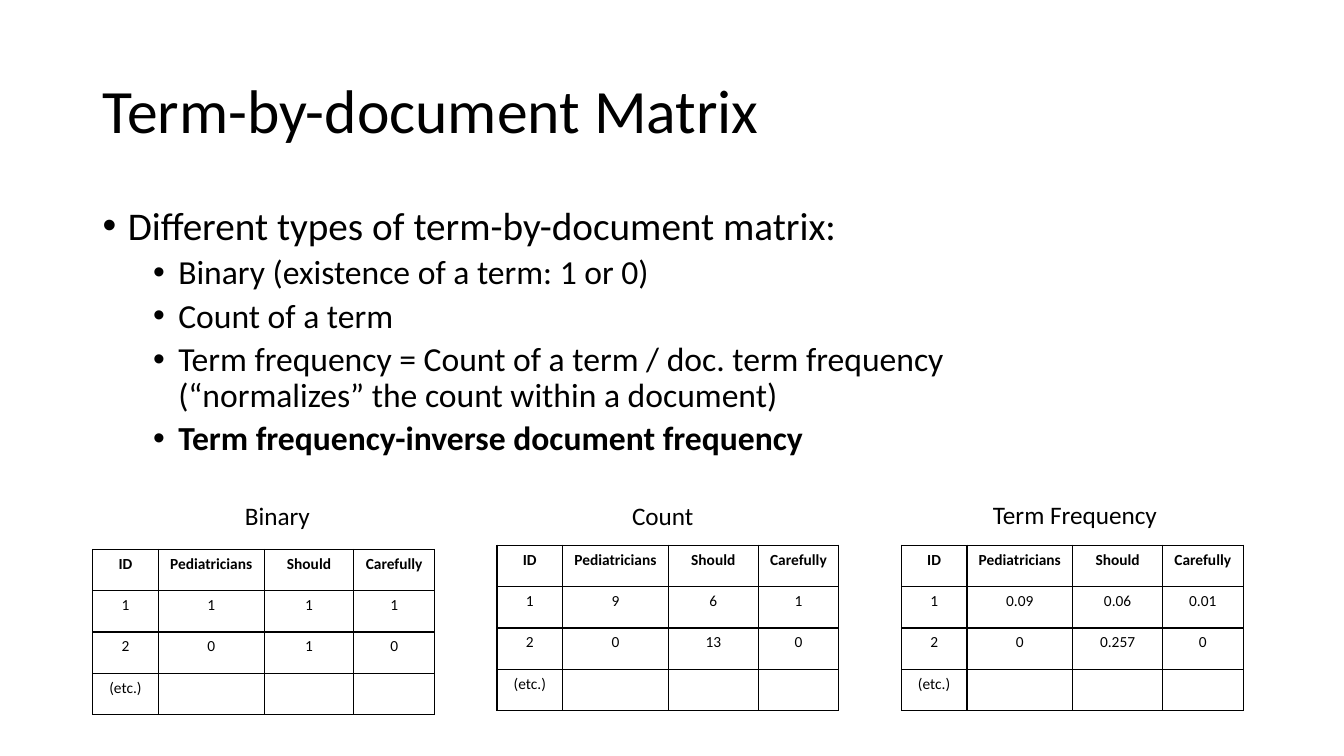
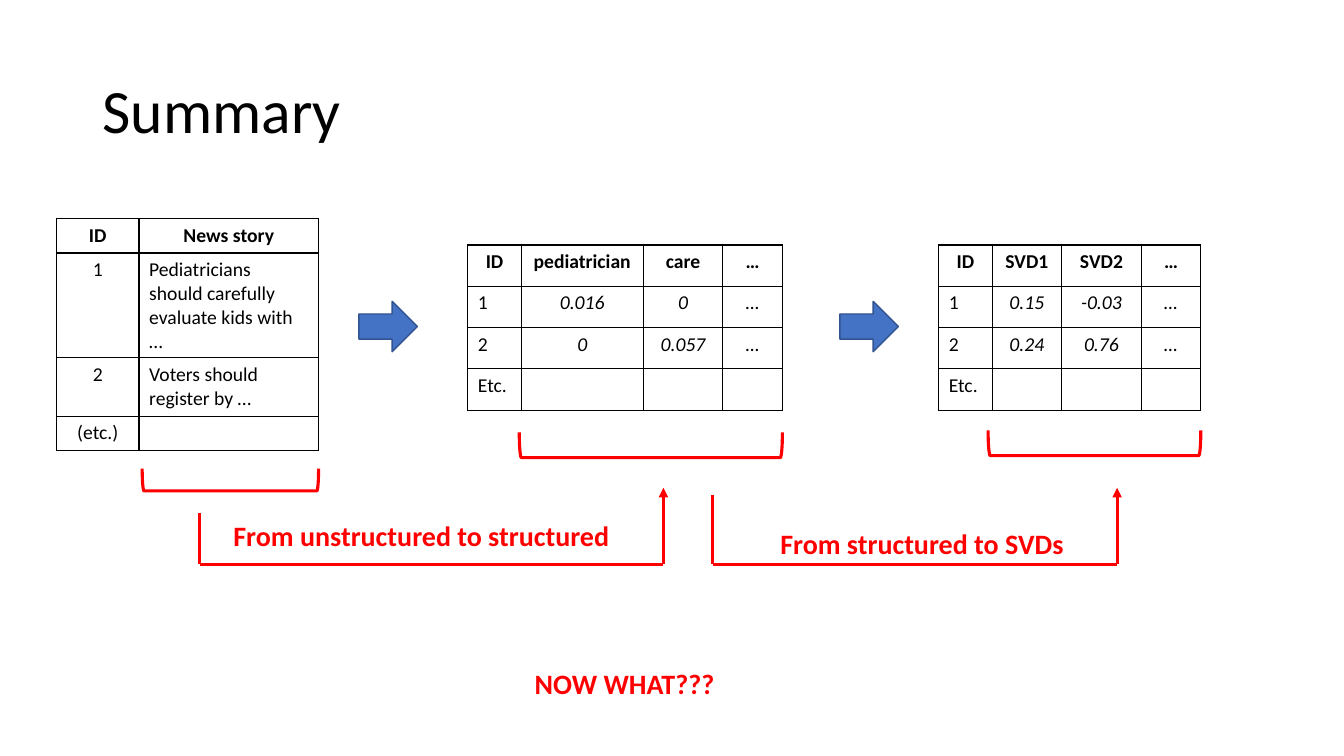
from lxml import etree
from pptx import Presentation
from pptx.dml.color import RGBColor
from pptx.enum.shapes import MSO_CONNECTOR, MSO_SHAPE
from pptx.enum.text import MSO_ANCHOR, PP_ALIGN
from pptx.oxml import parse_xml
from pptx.oxml.ns import nsdecls, qn
from pptx.util import Inches, Pt

# Shared style
FONT = "Calibri"
BLACK, RED, BLUE, NAVY = "000000", "FF0000", "4472C4", "325491"
WIDTH, HEIGHT = 13.33, 7.5
MARGIN, CONTENT_W = 0.92, 11.5
TITLE_TOP, TITLE_H = 0.4, 1.45
ROW_H = 0.41
ALIGN = {"l": PP_ALIGN.LEFT, "c": PP_ALIGN.CENTER}

# Content: term-by-document matrix
MATRIX_TITLE = "Term-by-document Matrix"
BULLETS = [  # level, lines, bold
    (0, ["Different types of term-by-document matrix:"], False),
    (1, ["Binary (existence of a term: 1 or 0)"], False),
    (1, ["Count of a term"], False),
    (1, ["Term frequency = Count of a term / doc. term frequency ",
         "(“normalizes” the count within a document)"], False),
    (1, ["Term frequency-inverse document frequency"], True),
]
BULLET_LEVELS = [(28, 0.25, 10), (24, 0.75, 5)]  # size, indent, space before
TERMS = ["ID", "Pediatricians", "Should", "Carefully"]
TERM_COLS = [0.65, 1.05, 0.89, 0.8]
MATRIX_PITCH = 4.01
MATRICES = [  # label, label left, top and width, table top, scores
    ("Binary", 2.33, 4.91, 0.92, 5.45, [["1", "1", "1"], ["0", "1", "0"]]),
    ("Count", 6.17, 4.91, 0.92, 5.41, [["9", "6", "1"], ["0", "13", "0"]]),
    ("Term Frequency", 9.75, 4.9, 1.83, 5.41,
     [["0.09", "0.06", "0.01"], ["0", "0.257", "0"]]),
]

# Content: summary
SUMMARY_TITLE = "Summary"
STAGES = [
    dict(left=0.56, top=2.17, cols=[0.82, 1.78], heights=[0.34, 1.04, 0.58, 0.34],
         aligns="cl", italic=False, bracket=(1.75, 4.65, 0.22),
         rows=[["ID", "News story"],
               ["1", "Pediatricians should carefully evaluate kids with …"],
               ["2", "Voters should register by …"],
               ["(etc.)", ""]]),
    dict(left=4.64, top=2.43, cols=[0.53, 1.21, 0.79, 0.59], heights=[ROW_H] * 4,
         aligns="lccc", italic=True, bracket=(2.61, 4.29, 0.25),
         rows=[["ID", "pediatrician", "care", "…"],
               ["1", "0.016", "0", "…"],
               ["2", "0", "0.057", "…"],
               ["Etc.", "", "", ""]]),
    dict(left=9.31, top=2.43, cols=[0.53, 0.69, 0.79, 0.59], heights=[ROW_H] * 4,
         aligns="lccc", italic=True, bracket=(2.11, 4.27, 0.25),
         rows=[["ID", "SVD1", "SVD2", "…"],
               ["1", "0.15", "-0.03", "…"],
               ["2", "0.24", "0.76", "…"],
               ["Etc.", "", "", ""]]),
]
STEP_ARROWS = [3.56, 8.33]
STEP_TOP, STEP_W, STEP_H = 2.99, 0.58, 0.5
ROUTE_BOTTOM, ROUTE_TIP = 5.6, 4.84
ROUTES = [(1.98, 5.09, 6.58), (7.07, 4.91, 11.08)]  # start x, start y, end x
RED_LABELS = [
    ("From unstructured to structured", 1.89, 5.09, 4.58),
    ("From structured to SVDs", 7.31, 5.17, 3.67),
    ("NOW WHAT???", 5.11, 6.56, 2.17),
]


def color(hex_code):
    return RGBColor.from_string(hex_code)


def box(*lengths):
    return [Inches(length) for length in lengths]


def add_run(paragraph, text, size, ink=BLACK, bold=False, italic=False):
    run = paragraph.add_run()
    run.text = text
    font = run.font
    font.name, font.size, font.bold, font.italic = FONT, Pt(size), bold, italic
    font.color.rgb = color(ink)


def add_frame(slide, left, top, width, height, anchor=MSO_ANCHOR.TOP):
    frame = slide.shapes.add_textbox(*box(left, top, width, height)).text_frame
    frame.word_wrap = True
    frame.vertical_anchor = anchor
    return frame


def add_label(slide, text, left, top, width, height, size, align="l", **style):
    paragraph = add_frame(slide, left, top, width, height).paragraphs[0]
    paragraph.alignment = ALIGN[align]
    add_run(paragraph, text, size, **style)


def add_titled_slide(deck, title):
    slide = deck.slides.add_slide(deck.slide_layouts[6])
    frame = add_frame(slide, MARGIN, TITLE_TOP, CONTENT_W, TITLE_H, MSO_ANCHOR.MIDDLE)
    frame.paragraphs[0].line_spacing = 0.9
    add_run(frame.paragraphs[0], title, 44)
    return slide


def add_bullets(slide, bullets):
    frame = add_frame(slide, MARGIN, 2, CONTENT_W, 4.76)
    for i, (level, lines, bold) in enumerate(bullets):
        paragraph = frame.add_paragraph() if i else frame.paragraphs[0]
        size, indent, before = BULLET_LEVELS[level]
        paragraph.level = level
        paragraph.line_spacing = 0.9
        paragraph.space_before = Pt(before)
        props = paragraph._p.get_or_add_pPr()
        props.set("marL", str(Inches(indent)))
        props.set("indent", str(Inches(-0.25)))
        etree.SubElement(props, qn("a:buFont")).set("typeface", "Arial")
        etree.SubElement(props, qn("a:buChar")).set("char", "•")
        for j, line in enumerate(lines):
            if j:
                paragraph.add_line_break()
            add_run(paragraph, line, size, bold=bold)


def add_borders(cell):
    props = cell._tc.get_or_add_tcPr()
    for side in ("lnL", "lnR", "lnT", "lnB"):
        props.append(parse_xml(
            f'<a:{side} {nsdecls("a")} w="{Pt(1)}"><a:solidFill>'
            f'<a:srgbClr val="{BLACK}"/></a:solidFill></a:{side}>'))
    cell.fill.background()


def add_grid(slide, left, top, cols, heights, rows, size, aligns, italic=False):
    table = slide.shapes.add_table(
        len(rows), len(cols), *box(left, top, sum(cols), sum(heights))).table
    table.first_row = table.horz_banding = False
    for column, width in zip(table.columns, cols):
        column.width = Inches(width)
    for r, texts in enumerate(rows):
        table.rows[r].height = Inches(heights[r])
        for c, text in enumerate(texts):
            cell = table.cell(r, c)
            add_borders(cell)
            paragraph = cell.text_frame.paragraphs[0]
            paragraph.alignment = ALIGN[aligns[c] if r else "c"]
            if text:
                add_run(paragraph, text, size, bold=r == 0,
                        italic=italic and r > 0 and c > 0)
            else:
                end = etree.SubElement(paragraph._p, qn("a:endParaRPr"))
                end.set("sz", str(size * 100))


def add_bracket(slide, right, width, top, height):
    # The preset is turned a quarter, so its own width and height swap
    center_x, center_y = right - width / 2, top + height / 2
    bracket = slide.shapes.add_shape(
        MSO_SHAPE.RIGHT_BRACKET,
        *box(center_x - height / 2, center_y - width / 2, height, width))
    bracket.rotation = 90
    bracket.shadow.inherit = False
    bracket.fill.background()
    bracket.line.color.rgb = color(RED)
    bracket.line.width = Pt(2.25)


def add_step_arrow(slide, left):
    arrow = slide.shapes.add_shape(
        MSO_SHAPE.RIGHT_ARROW, *box(left, STEP_TOP, STEP_W, STEP_H))
    arrow.shadow.inherit = False
    arrow.fill.solid()
    arrow.fill.fore_color.rgb = color(BLUE)
    arrow.line.color.rgb = color(NAVY)
    arrow.line.width = Pt(1)


def add_route(slide, points):
    for start, end in zip(points, points[1:]):
        leg = slide.shapes.add_connector(MSO_CONNECTOR.STRAIGHT, *box(*start, *end))
        leg.line.color.rgb = color(RED)
        leg.line.width = Pt(2.25)
        if end == points[-1]:
            etree.SubElement(leg.line._get_or_add_ln(), qn("a:tailEnd")).set("type", "triangle")
        etree.SubElement(leg._element.spPr, qn("a:effectLst"))


deck = Presentation()
deck.slide_width, deck.slide_height = box(WIDTH, HEIGHT)

# Term-by-document matrix
matrix_slide = add_titled_slide(deck, MATRIX_TITLE)
add_bullets(matrix_slide, BULLETS)
for i, (label, left, top, width, table_top, scores) in enumerate(MATRICES):
    add_label(matrix_slide, label, left, top, width, 0.4, 18)
    rows = [TERMS, *([str(n), *row] for n, row in enumerate(scores, 1)),
            ["(etc.)", "", "", ""]]
    add_grid(matrix_slide, MARGIN + i * MATRIX_PITCH, table_top, TERM_COLS,
             [ROW_H] * len(rows), rows, 11, "cccc")

# Summary
summary_slide = add_titled_slide(deck, SUMMARY_TITLE)
for stage in STAGES:
    add_grid(summary_slide, stage["left"], stage["top"], stage["cols"],
             stage["heights"], stage["rows"], 14, stage["aligns"], stage["italic"])
    add_bracket(summary_slide, stage["left"] + sum(stage["cols"]), *stage["bracket"])
for left in STEP_ARROWS:
    add_step_arrow(summary_slide, left)
for start_x, start_y, end_x in ROUTES:
    add_route(summary_slide, [(start_x, start_y), (start_x, ROUTE_BOTTOM),
                              (end_x, ROUTE_BOTTOM), (end_x, ROUTE_TIP)])
for text, left, top, width in RED_LABELS:
    add_label(summary_slide, text, left, top, width, 0.44, 20, "c", ink=RED, bold=True)

deck.save("out.pptx")
